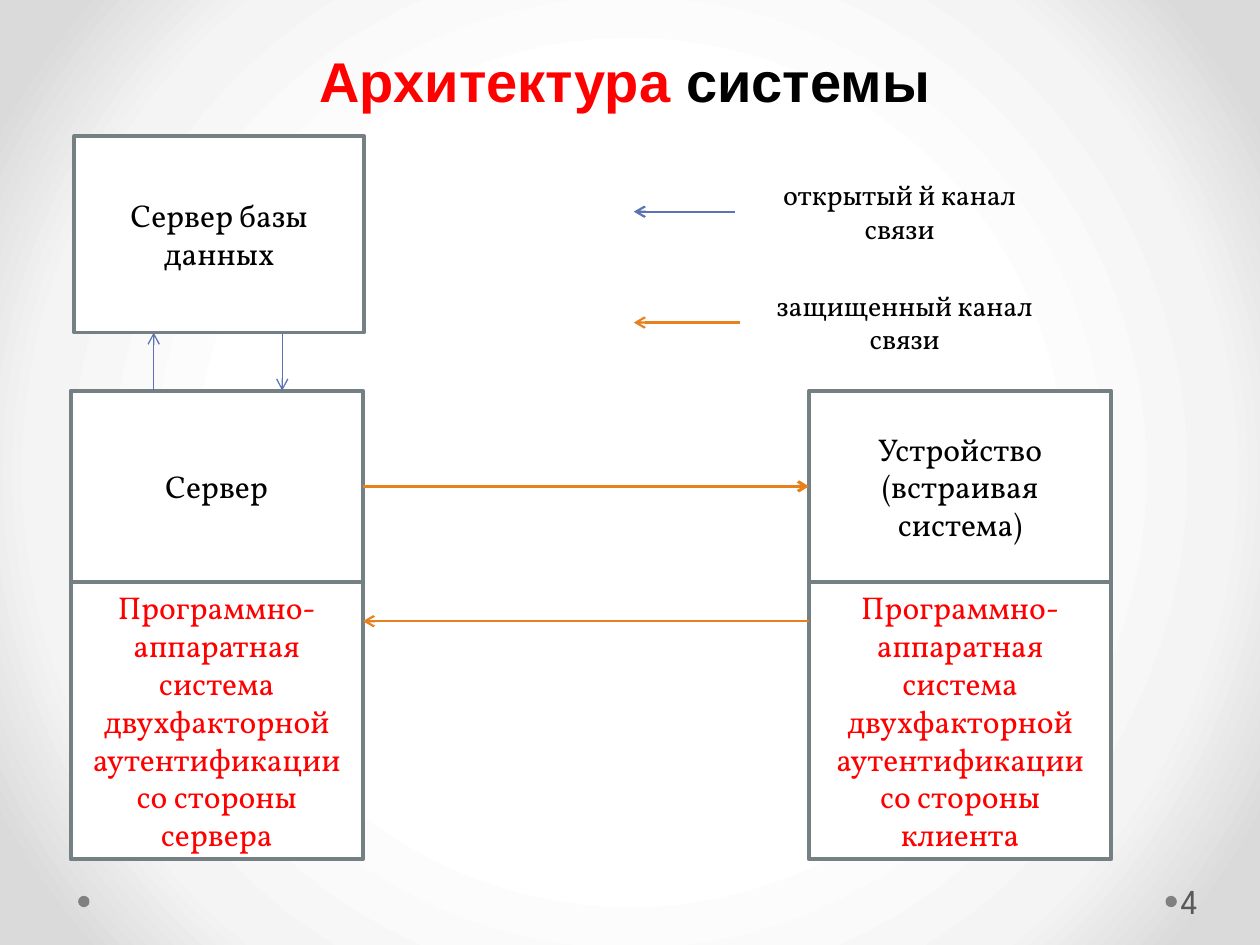
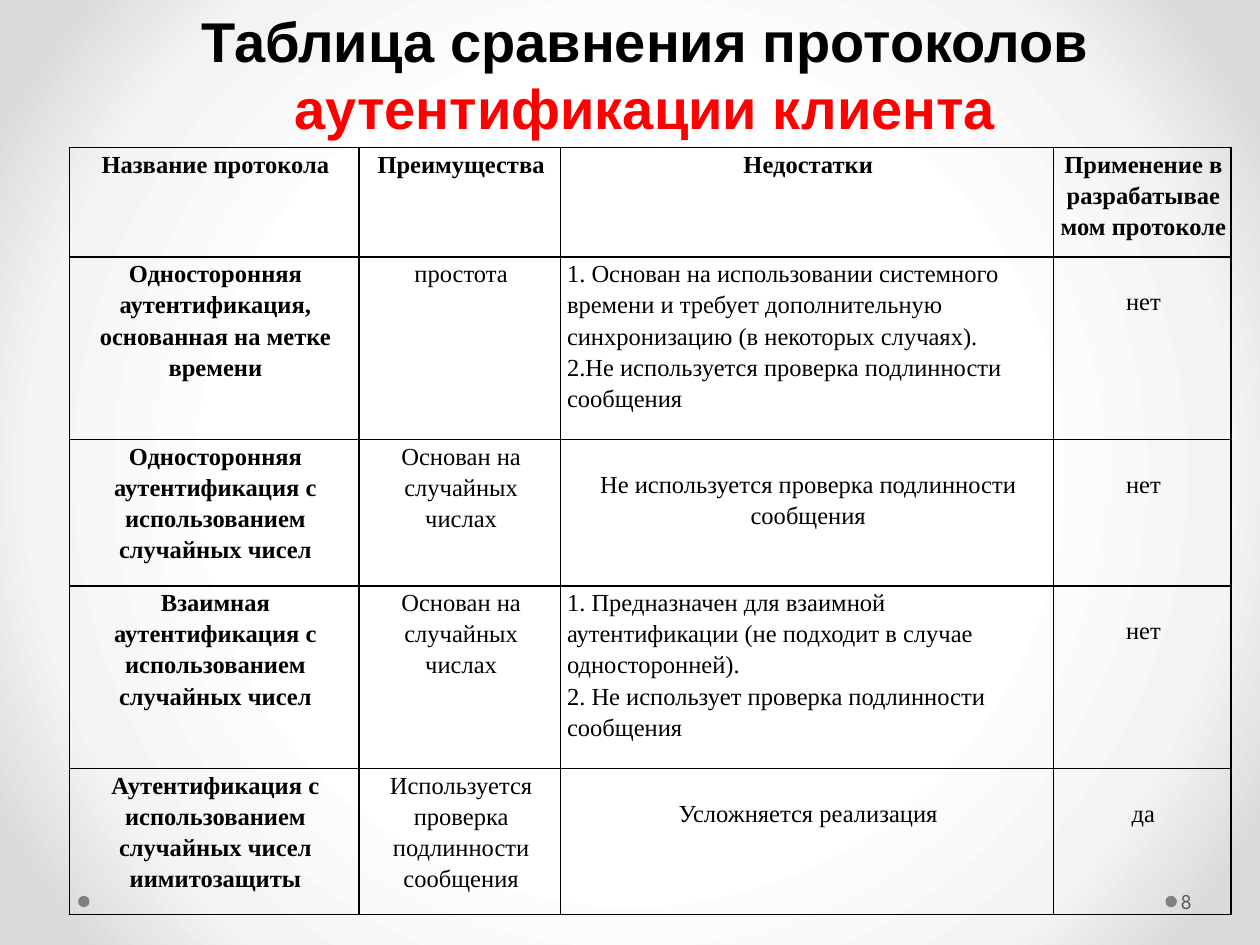
"""Two slides on authentication: a system diagram and a table of protocols."""
from dataclasses import dataclass

from pptx import Presentation
from pptx.dml.color import RGBColor
from pptx.enum.dml import MSO_LINE
from pptx.enum.shapes import MSO_CONNECTOR, MSO_SHAPE
from pptx.enum.text import MSO_ANCHOR, MSO_AUTO_SIZE, PP_ALIGN
from pptx.oxml import parse_xml
from pptx.oxml.ns import nsdecls, qn
from pptx.util import Inches, Pt

LEFT, CENTER = PP_ALIGN.LEFT, PP_ALIGN.CENTER
TOP, MIDDLE = MSO_ANCHOR.TOP, MSO_ANCHOR.MIDDLE
RECT, OVAL = MSO_SHAPE.RECTANGLE, MSO_SHAPE.OVAL
STRAIGHT, SOLID, FIXED = MSO_CONNECTOR.STRAIGHT, MSO_LINE.SOLID, MSO_AUTO_SIZE.NONE


@dataclass(frozen=True)
class Theme:
    black: str = "000000"
    white: str = "FFFFFF"
    red: str = "FF0000"
    edge: str = "758085"
    blue: str = "5C72B2"
    orange: str = "E6811C"
    dot: str = "808080"
    number: str = "595959"
    stops: tuple = ((50, "FFFFFF"), (76, "F4F4F4"), (92, "DADADA"))
    head: str = "Arial"
    body: str = "Vollkorn"
    grid: str = "Times New Roman"
    digit: str = "League Spartan"
    title: int = 32
    box: int = 18
    label: int = 16
    cell: int = 14


T = Theme()


def write(frame, paras, font, size, align=CENTER, anchor=TOP, bold=False, space=None):
    """Fill a text frame with paragraphs, each a list of (text, colour) runs."""
    frame.word_wrap = True
    frame.vertical_anchor = anchor
    for i, runs in enumerate(paras):
        para = frame.paragraphs[0] if i == 0 else frame.add_paragraph()
        para.alignment = align
        para.line_spacing = space
        for text, color in runs:
            run = para.add_run()
            run.text = text
            run.font.name = font
            run.font.size = Pt(size)
            run.font.bold = bold
            run.font.color.rgb = RGBColor.from_string(color)


def shape(slide, kind, area, fill, edge=None):
    """Add a flat preset shape with an optional outline."""
    item = slide.shapes.add_shape(kind, *map(Inches, area))
    item.shadow.inherit = False
    item.fill.solid()
    item.fill.fore_color.rgb = RGBColor.from_string(fill)
    if edge:
        item.line.color.rgb = RGBColor.from_string(edge)
        item.line.width = Pt(2.25)
    else:
        item.line.fill.background()
    return item


deck = Presentation()
deck.slide_width, deck.slide_height = Inches(10), Inches(7.5)

master = deck.slide_master
master.background.fill.solid()
plain = master.element.find(".//" + qn("a:solidFill"))
stops = "".join(
    f'<a:gs pos="{pos * 1000}"><a:srgbClr val="{color}"/></a:gs>' for pos, color in T.stops)
plain.getparent().replace(plain, parse_xml(
    f'<a:gradFill {nsdecls("a")} rotWithShape="1"><a:gsLst>{stops}</a:gsLst>'
    '<a:path path="circle"><a:fillToRect l="50000" t="50000" r="50000" b="50000"/></a:path>'
    '</a:gradFill>'))

heads = [
    ((1.22, 0.32, 7.48, 0.64), "4", 20,
     [("Архитектура ", T.red), ("системы", T.black)]),
    ((1.33, 0, 7.58, 1.18), "8", 12,
     [("Таблица сравнения протоколов ", T.black), ("аутентификации клиента", T.red)]),
]
slides = []
for area, number, size, runs in heads:
    slide = deck.slides.add_slide(deck.slide_layouts[5])
    slides.append(slide)
    title = slide.shapes.title
    title.left, title.top, title.width, title.height = map(Inches, area)
    title.text_frame.auto_size = FIXED
    write(title.text_frame, [runs], T.head, T.title, bold=True)
    for x in (9.25, 0.62):
        shape(slide, OVAL, (x, 7.11, 0.09, 0.09), T.dot)
    frame = slide.shapes.add_textbox(*map(Inches, (9.34, 6.95, 0.61, 0.4))).text_frame
    frame.margin_left, frame.margin_right = Inches(0.03), Inches(0.05)
    write(frame, [[(number, T.number)]], T.digit, size, LEFT, MIDDLE)

scheme, compare = slides

module = "Программно-аппаратная система двухфакторной аутентификации со стороны "
boxes = [
    ((0.56, 3.1, 2.32, 1.52), T.black, ["Сервер"]),
    ((6.42, 3.1, 2.4, 1.52), T.black, ["Устройство", "(встраивая система)"]),
    ((0.59, 1.08, 2.3, 1.56), T.black, ["Сервер базы данных"]),
    ((0.56, 4.62, 2.32, 2.2), T.red, [module + "сервера"]),
    ((6.42, 4.62, 2.4, 2.2), T.red, [module + "клиента"]),
]
for area, color, lines in boxes:
    box = shape(scheme, RECT, area, T.white, T.edge)
    write(box.text_frame, [[(line, color)] for line in lines], T.body, T.box, anchor=MIDDLE)

for x, y, text in ((5.83, 1.36, "открытый й канал связи"),
                   (5.87, 2.24, "защищенный канал связи")):
    label = scheme.shapes.add_textbox(*map(Inches, (x, y, 2.62, 0.64)))
    write(label.text_frame, [[(text, T.black)]], T.body, T.label)

arrows = [
    ((1.22, 3.1, 1.22, 2.64), T.blue, 0.75),
    ((2.24, 2.64, 2.24, 3.1), T.blue, 0.75),
    ((2.88, 3.86, 6.42, 3.86), T.orange, 1.75),
    ((6.42, 4.93, 2.88, 4.93), T.orange, 1.25),
    ((5.83, 1.68, 5.03, 1.68), T.blue, 1.25),
    ((5.87, 2.56, 5.03, 2.56), T.orange, 1.25),
]
for ends, color, width in arrows:
    arrow = scheme.shapes.add_connector(STRAIGHT, *map(Inches, ends))
    arrow.line.color.rgb = RGBColor.from_string(color)
    arrow.line.width = Pt(width)
    arrow.line.dash_style = SOLID
    props = arrow.element.spPr
    props.find(qn("a:ln")).append(parse_xml(f'<a:tailEnd {nsdecls("a")} type="arrow"/>'))
    props.append(parse_xml(f'<a:effectLst {nsdecls("a")}/>'))

widths = (2.3, 1.6, 3.91, 1.41)
heights = (0.87, 1.45, 1.16, 1.45, 1.16)
rows = [
    ("Название протокола", "Преимущества", "Недостатки",
     "Применение в разрабатываемом протоколе"),
    ("Односторонняя аутентификация, основанная на метке времени", "простота",
     "1. Основан на использовании системного времени и требует дополнительную "
     "синхронизацию (в некоторых случаях).\n"
     "2.Не используется проверка подлинности сообщения", "нет"),
    ("Односторонняя аутентификация с использованием случайных чисел",
     "Основан на случайных числах",
     "Не используется проверка подлинности сообщения", "нет"),
    ("Взаимная аутентификация с использованием случайных чисел",
     "Основан на случайных числах",
     "1. Предназначен для взаимной аутентификации (не подходит в случае односторонней).\n"
     "2. Не использует проверка подлинности сообщения", "нет"),
    ("Аутентификация с использованием случайных чисел иимитозащиты",
     "Используется проверка подлинности сообщения", "Усложняется реализация", "да"),
]
table = compare.shapes.add_table(
    len(rows), len(widths), *map(Inches, (0.55, 1.17, sum(widths), sum(heights)))).table
table.first_row = table.horz_banding = False
for col, width in zip(table.columns, widths):
    col.width = Inches(width)
for row, height in zip(table.rows, heights):
    row.height = Inches(height)
for r, texts in enumerate(rows):
    for c, text in enumerate(texts):
        cell = table.cell(r, c)
        lines = text.split("\n")
        single = len(lines) == 1
        cell.fill.background()
        cell.margin_left, cell.margin_right = Inches(0.05), Inches(0.03)
        cell.margin_top = Inches(0.22 if r and c > 1 and single else 0)
        cell.margin_bottom = 0
        cell.vertical_anchor = TOP
        write(cell.text_frame, [[(line, T.black)] for line in lines], T.grid, T.cell,
              CENTER if single else LEFT, bold=r == 0 or c == 0, space=1.15)
        props = cell._tc.get_or_add_tcPr()
        for i, side in enumerate("LRTB"):
            props.insert(i, parse_xml(
                f'<a:ln{side} {nsdecls("a")} w="{Pt(1)}"><a:solidFill>'
                f'<a:srgbClr val="{T.black}"/></a:solidFill></a:ln{side}>'))

deck.save("out.pptx")
